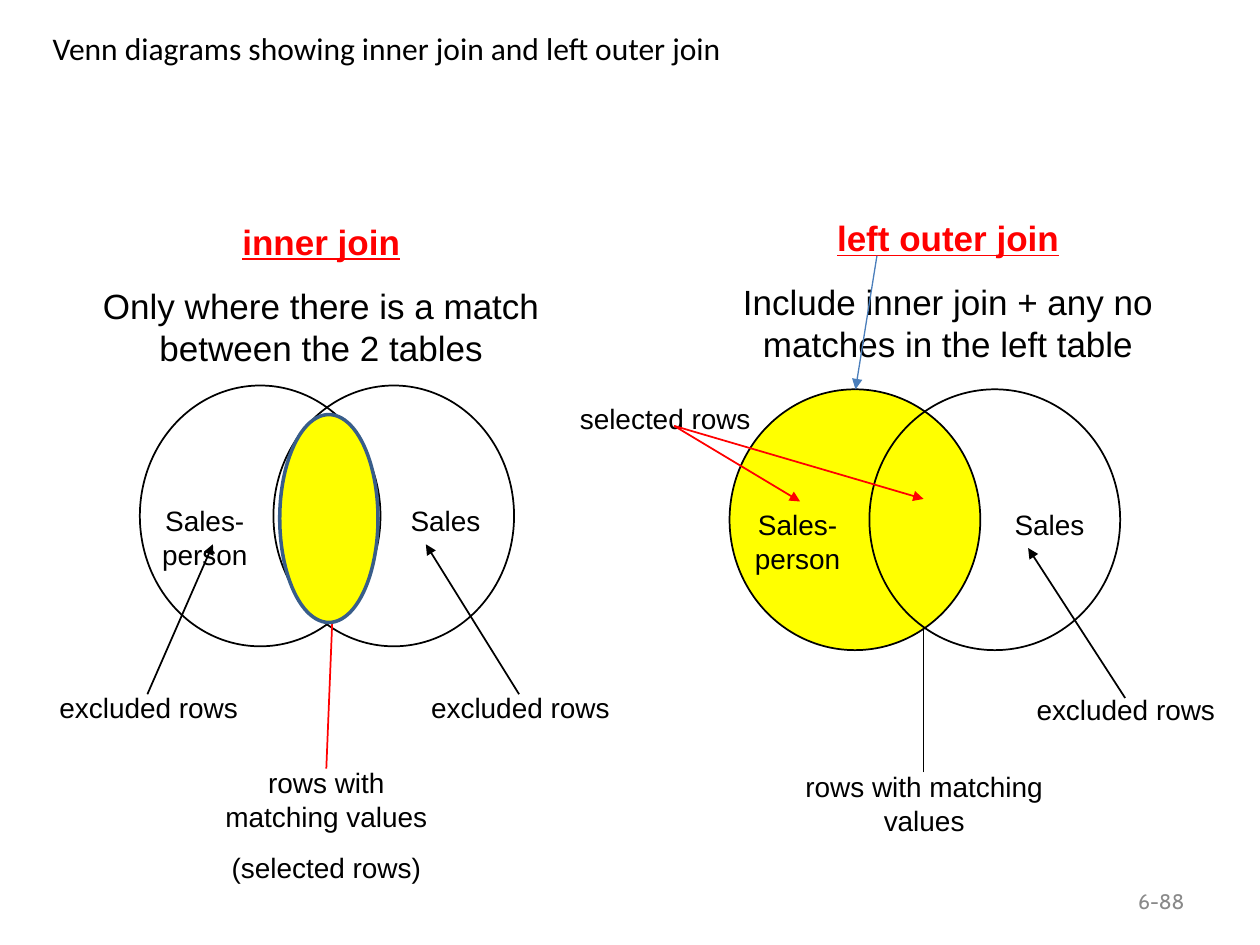
"""Build a slide of two Venn diagrams: inner join and left outer join."""
from dataclasses import dataclass
from typing import Optional, Union

from lxml.etree import SubElement
from pptx import Presentation
from pptx.dml.color import RGBColor
from pptx.enum.shapes import MSO_CONNECTOR as Connector, MSO_SHAPE as Preset
from pptx.enum.text import MSO_ANCHOR as Anchor, MSO_AUTO_SIZE as AutoSize, PP_ALIGN as Align
from pptx.oxml.ns import qn
from pptx.util import Inches, Pt

BLACK, RED, YELLOW, BLUE, NAVY, GREY = "000000", "FF0000", "FFFF00", "4A7EBB", "385D8A", "898989"


@dataclass(frozen=True)
class Oval:
    left: float
    top: float
    width: float
    height: float
    fill: Optional[str] = None
    line: str = BLACK
    weight: float = 1


@dataclass(frozen=True)
class Label:
    left: float
    top: float
    width: float
    height: float
    lines: tuple[str, ...]


@dataclass(frozen=True)
class Heading:
    left: float
    top: float
    width: float
    name: str
    meaning: str


@dataclass(frozen=True)
class Arrow:
    start: tuple[float, float]
    end: tuple[float, float]
    color: str = BLACK
    weight: float = 1


Part = Union[Oval, Label, Arrow]

HEADINGS = (
    Heading(0.56, 1.7, 3.98, "inner join", "Only where there is a match between the 2 tables"),
    Heading(5.56, 1.67, 3.93, "left outer join",
            "Include inner join + any no matches in the left table"),
)

INNER_JOIN: tuple[Part, ...] = (
    Oval(1.11, 3.06, 1.91, 2.07),
    Oval(2.17, 3.06, 1.91, 2.07),
    Label(1.08, 3.95, 1.09, 0.64, ("Sales-person",)),
    Label(2.99, 3.95, 1.09, 0.37, ("Sales",)),
    Label(1.57, 6.03, 2.04, 1.04, ("rows with matching values", "(selected rows)")),
    Arrow((2.59, 6.1), (2.64, 4.86), RED),
    Label(0.16, 5.43, 2.04, 0.37, ("excluded rows",)),
    Arrow((1.17, 5.51), (1.69, 4.32)),
    Label(3.11, 5.43, 2.04, 0.37, ("excluded rows",)),
    Arrow((4.12, 5.51), (3.38, 4.32)),
)

LEFT_OUTER_JOIN: tuple[Part, ...] = (
    Arrow((7.33, 6.13), (7.33, 4.13)),
    Label(6.27, 6.06, 2.13, 0.64, ("rows with matching values",)),
    Label(7.87, 5.45, 2.13, 0.37, ("excluded rows",)),
    Arrow((8.93, 5.54), (8.16, 4.35)),
    Oval(5.79, 3.09, 1.99, 2.07, YELLOW),
    Oval(6.9, 3.09, 1.99, 2.07),
    Label(5.76, 3.98, 1.14, 0.64, ("Sales-person",)),
    Label(7.76, 3.98, 1.14, 0.37, ("Sales",)),
    Label(4.46, 3.14, 1.64, 0.37, ("selected rows",)),
    Arrow((5.35, 3.38), (6.35, 3.98), RED),
    Arrow((5.35, 3.38), (7.33, 3.96), RED),
)

FOREGROUND: tuple[Part, ...] = (
    Arrow((6.96, 2.03), (6.79, 3.09), BLUE, 0.75),
    Oval(2.22, 3.29, 0.78, 1.65, YELLOW, NAVY, 2),
)


def rgb(color: str) -> RGBColor:
    return RGBColor.from_string(color)


def add_run(paragraph, text: str, size: float, color: str = BLACK, name: str = "Arial",
            emphasis: bool = False) -> None:
    run = paragraph.add_run()
    run.text = text
    font = run.font
    font.name, font.size, font.color.rgb = name, Pt(size), rgb(color)
    font.bold = font.underline = emphasis


def add_box(shapes, left: float, top: float, width: float, height: float):
    box = shapes.add_textbox(Inches(left), Inches(top), Inches(width), Inches(height))
    box.text_frame.word_wrap = True
    return box.text_frame


def draw_heading(shapes, heading: Heading) -> None:
    frame = add_box(shapes, heading.left, heading.top, heading.width, 1.28)
    frame.auto_size = AutoSize.SHAPE_TO_FIT_TEXT
    name, meaning = frame.paragraphs[0], frame.add_paragraph()
    name.alignment = meaning.alignment = Align.CENTER
    meaning.space_before = Pt(12.5)
    add_run(name, heading.name, 20, RED, emphasis=True)
    add_run(meaning, heading.meaning, 20)


def draw_label(shapes, label: Label) -> None:
    frame = add_box(shapes, label.left, label.top, label.width, label.height)
    frame.auto_size = AutoSize.SHAPE_TO_FIT_TEXT
    for index, line in enumerate(label.lines):
        paragraph = frame.add_paragraph() if index else frame.paragraphs[0]
        paragraph.alignment = Align.CENTER
        if index:
            paragraph.space_before = Pt(10)
        add_run(paragraph, line, 16)


def draw_oval(shapes, oval: Oval) -> None:
    shape = shapes.add_shape(Preset.OVAL, Inches(oval.left), Inches(oval.top),
                             Inches(oval.width), Inches(oval.height))
    shape.shadow.inherit = False
    if oval.fill:
        shape.fill.solid()
        shape.fill.fore_color.rgb = rgb(oval.fill)
    else:
        shape.fill.background()
    shape.line.color.rgb = rgb(oval.line)
    shape.line.width = Pt(oval.weight)


def draw_arrow(shapes, arrow: Arrow) -> None:
    connector = shapes.add_connector(Connector.STRAIGHT, *map(Inches, arrow.start + arrow.end))
    connector.line.color.rgb = rgb(arrow.color)
    connector.line.width = Pt(arrow.weight)
    properties = connector.element.spPr
    SubElement(properties.find(qn("a:ln")), qn("a:tailEnd"), type="triangle")
    SubElement(properties, qn("a:effectLst"))


def draw_parts(shapes, parts: tuple[Part, ...]) -> None:
    painters = {Oval: draw_oval, Label: draw_label, Arrow: draw_arrow}
    for part in parts:
        painters[type(part)](shapes, part)


def main() -> None:
    presentation = Presentation()
    presentation.slide_width, presentation.slide_height = Inches(10), Inches(7.5)
    slide = presentation.slides.add_slide(presentation.slide_layouts[5])
    shapes = slide.shapes

    title = shapes.title
    title.left, title.top, title.width, title.height = map(Inches, (0, 0, 6.14, 0.76))
    title.text_frame.vertical_anchor = Anchor.MIDDLE
    heading = title.text_frame.paragraphs[0]
    heading.alignment = Align.CENTER
    add_run(heading, "Venn diagrams showing inner join and left outer join", 18, name="Calibri")

    number = add_box(shapes, 7.17, 6.95, 2.33, 0.4)
    number.vertical_anchor = Anchor.MIDDLE
    number.paragraphs[0].alignment = Align.RIGHT
    add_run(number.paragraphs[0], "6-88", 12, GREY, "Cabin")

    for join in HEADINGS:
        draw_heading(shapes, join)
    for diagram in (INNER_JOIN, LEFT_OUTER_JOIN):
        draw_parts(shapes.add_group_shape().shapes, diagram)
    draw_parts(shapes, FOREGROUND)
    presentation.save("out.pptx")


if __name__ == "__main__":
    main()
